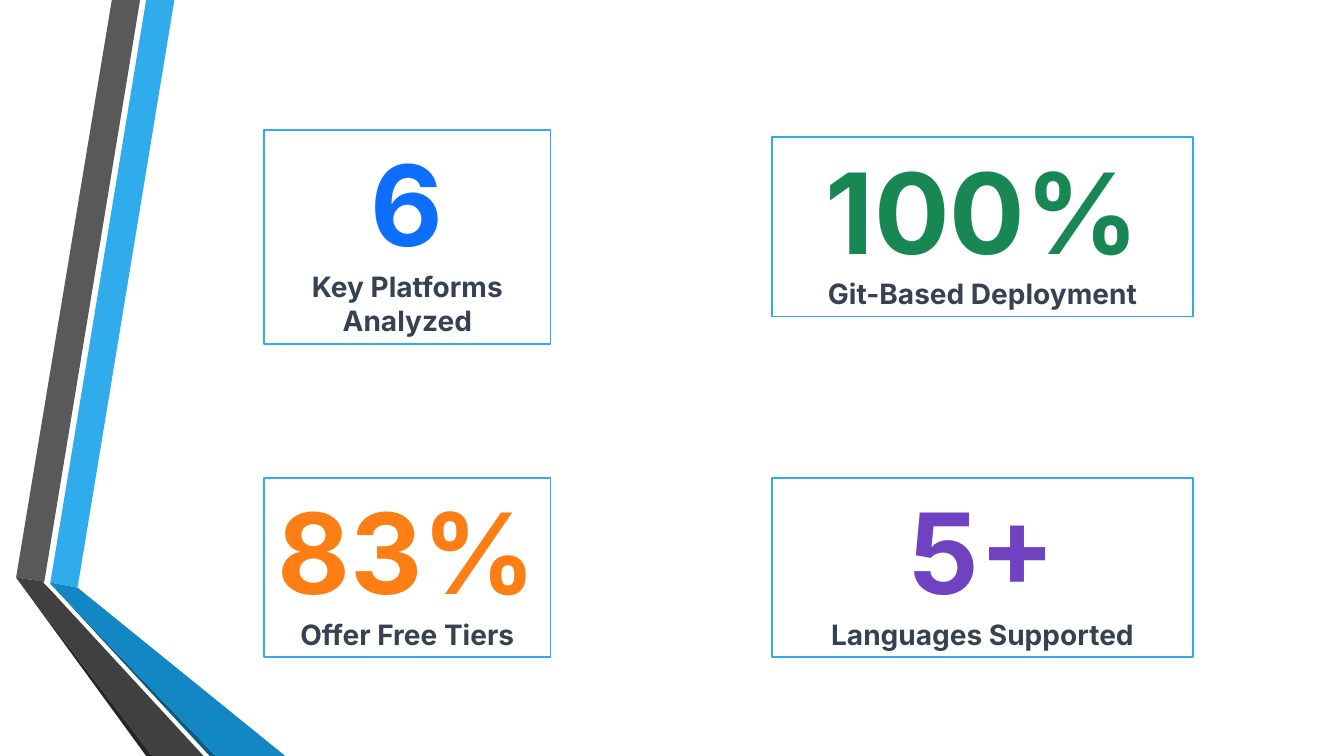
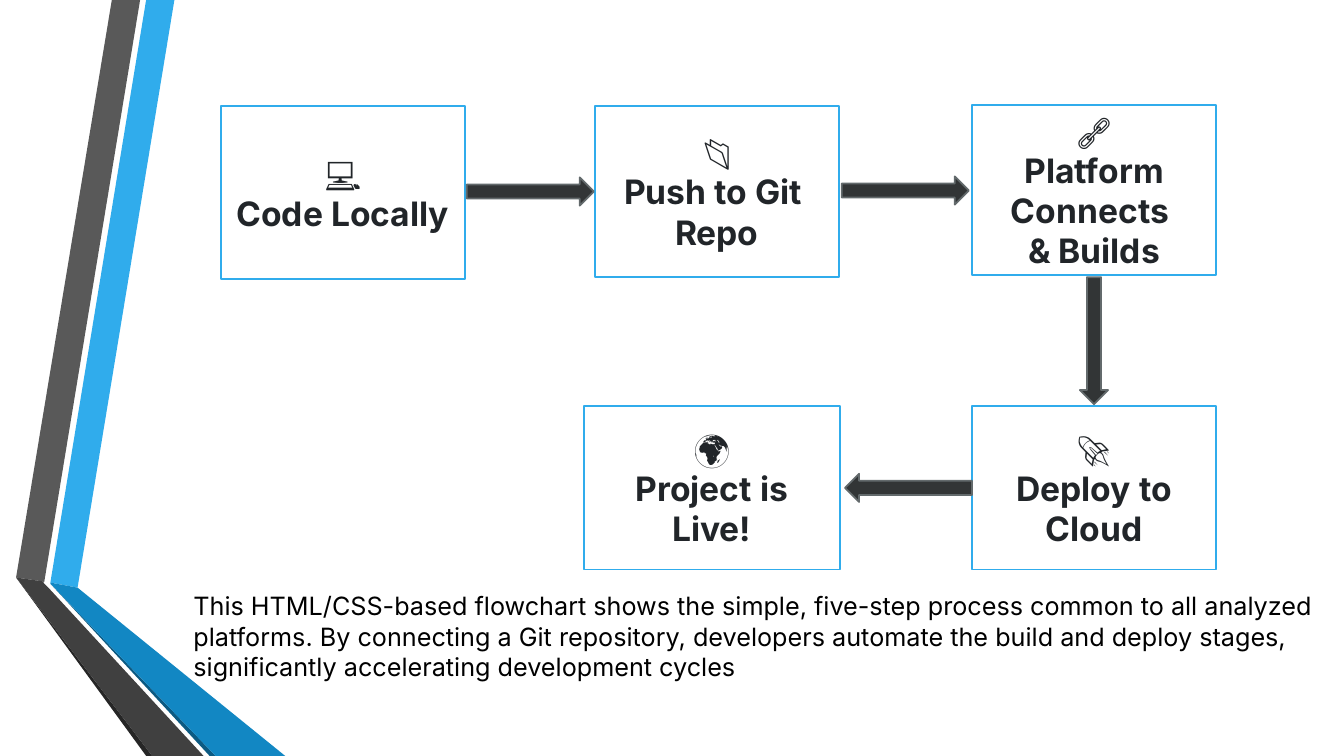
from dataclasses import dataclass

from pptx import Presentation
from pptx.dml.color import RGBColor
from pptx.enum.shapes import MSO_SHAPE
from pptx.enum.text import MSO_ANCHOR, MSO_AUTO_SIZE, PP_ALIGN
from pptx.shapes.autoshape import Shape
from pptx.slide import Slide
from pptx.text.text import _Paragraph
from pptx.util import Pt

RECT, RIGHT_ARROW = MSO_SHAPE.RECTANGLE, MSO_SHAPE.RIGHT_ARROW
TOP, MIDDLE = MSO_ANCHOR.TOP, MSO_ANCHOR.MIDDLE
GROW = MSO_AUTO_SIZE.SHAPE_TO_FIT_TEXT
CENTER = PP_ALIGN.CENTER

PX = 9144  # EMU per px, 100 px to the inch
SLIDE_W, SLIDE_H = 1333, 750
FONT = "Inter"
LINE_PT = 1.25
ARROW_W, ARROW_H = 126, 28

COLORS = {
    "white": "FFFFFF",
    "black": "000000",
    "sky": "30ACEC",
    "blue_fold": "1287C3",
    "blue_edge": "0C5A82",
    "gray": "595959",
    "gray_fold": "404040",
    "gray_edge": "262626",
    "label": "374151",
    "step": "212529",
    "arrow": "323536",
    "arrow_line": "636A6C",
    "blue": "0D6EFD",
    "green": "198754",
    "orange": "FD7E14",
    "purple": "6F42C1",
}


@dataclass(frozen=True)
class Ribbon:
    color: str
    points: tuple[tuple[int, int], ...]


@dataclass(frozen=True)
class Stat:
    x: int
    y: int
    w: int
    h: int
    value: str
    label: str
    color: str


@dataclass(frozen=True)
class Step:
    x: int
    y: int
    w: int
    h: int
    icon: str
    lines: tuple[str, ...]


@dataclass(frozen=True)
class Arrow:
    x: int
    y: int
    rotation: int = 0


RIBBONS = (
    Ribbon("sky", ((50, 578), (77, 583), (173, 0), (145, 0))),
    Ribbon("gray", ((139, 0), (111, 0), (16, 573), (44, 577))),
    Ribbon("gray_edge", ((16, 573), (145, 750), (151, 750))),
    Ribbon("blue_edge", ((50, 579), (208, 750), (214, 750))),
    Ribbon("blue_fold", ((50, 579), (214, 750), (283, 750), (77, 583), (50, 578))),
    Ribbon("gray_fold", ((202, 750), (48, 583), (43, 578), (44, 577), (16, 573), (151, 750))),
)

STATS = (
    Stat(262, 129, 284, 212, "6", "Key Platforms Analyzed", "blue"),
    Stat(766, 136, 417, 178, "100%", "Git-Based Deployment", "green"),
    Stat(262, 474, 284, 178, "83%", "Offer Free Tiers", "orange"),
    Stat(766, 474, 417, 178, "5+", "Languages Supported", "purple"),
)

STEPS = (
    Step(219, 105, 242, 172, "💻", ("Code Locally",)),
    Step(590, 105, 242, 170, "📂", ("Push to Git ", "Repo")),
    Step(964, 104, 242, 169, "🔗", ("Platform Connects ", "& Builds")),
    Step(964, 403, 242, 162, "🚀", ("Deploy to Cloud",)),
    Step(579, 403, 254, 162, "🌍", ("Project is Live!",)),
)

ARROWS = (
    Arrow(463, 176),
    Arrow(835, 175),
    Arrow(1022, 324, 90),
    Arrow(838, 470, 180),
)

CAPTION = (
    "This HTML/CSS-based flowchart shows the simple, five-step process common to all "
    "analyzed platforms. By connecting a Git repository, developers automate the build "
    "and deploy stages, significantly accelerating development cycles"
)


def rgb(name: str) -> RGBColor:
    return RGBColor.from_string(COLORS[name])


def format_runs(p: _Paragraph, size: int, color: str, bold: bool = False) -> None:
    for r in p.runs:
        r.font.name = FONT
        r.font.size = Pt(size)
        r.font.bold = bold
        r.font.color.rgb = rgb(color)


def add_outlined(slide: Slide, kind: MSO_SHAPE, x: int, y: int, w: int, h: int,
                 fill: str, line: str) -> Shape:
    sp = slide.shapes.add_shape(kind, x * PX, y * PX, w * PX, h * PX)
    sp.shadow.inherit = False
    sp.fill.solid()
    sp.fill.fore_color.rgb = rgb(fill)
    sp.line.color.rgb = rgb(line)
    sp.line.width = Pt(LINE_PT)
    return sp


def add_card(slide: Slide, card: Stat | Step, text: str, anchor: MSO_ANCHOR) -> Shape:
    """Add a white card whose paragraphs are centred."""
    sp = add_outlined(slide, RECT, card.x, card.y, card.w, card.h, "white", "sky")
    tf = sp.text_frame
    tf.word_wrap = True
    tf.vertical_anchor = anchor
    tf.text = text
    for p in tf.paragraphs:
        p.alignment = CENTER
    return sp


def add_stat(slide: Slide, stat: Stat) -> None:
    tf = add_card(slide, stat, f"{stat.value}\n{stat.label}", TOP).text_frame
    tf.auto_size = GROW
    value, label = tf.paragraphs
    format_runs(value, 80, stat.color, bold=True)
    format_runs(label, 20, "label", bold=True)


def add_step(slide: Slide, step: Step) -> None:
    text = f"{step.icon}\v" + "\n".join(step.lines)
    for p in add_card(slide, step, text, MIDDLE).text_frame.paragraphs:
        format_runs(p, 24, "step", bold=True)


def add_arrow(slide: Slide, arrow: Arrow) -> None:
    sp = add_outlined(slide, RIGHT_ARROW, arrow.x, arrow.y, ARROW_W, ARROW_H,
                      "arrow", "arrow_line")
    sp.rotation = arrow.rotation


def add_caption(slide: Slide) -> None:
    sp = slide.shapes.add_textbox(182 * PX, 581 * PX, 1150 * PX, 101 * PX)
    tf = sp.text_frame
    tf.word_wrap = True
    tf.auto_size = GROW
    tf.text = CAPTION
    format_runs(tf.paragraphs[0], 18, "black")


def add_ribbons(slide: Slide) -> None:
    group = slide.shapes.add_group_shape()
    for ribbon in RIBBONS:
        start, *rest = ribbon.points
        builder = group.shapes.build_freeform(*start, scale=PX)
        builder.add_line_segments(rest, close=True)
        sp = builder.convert_to_shape()
        sp.shadow.inherit = False
        sp.fill.solid()
        sp.fill.fore_color.rgb = rgb(ribbon.color)
        sp.line.fill.background()


def new_slide(prs: Presentation) -> Slide:
    """Add a blank slide with the folded ribbons at the left."""
    slide = prs.slides.add_slide(prs.slide_layouts[6])
    add_ribbons(slide)
    return slide


def build_stats(prs: Presentation) -> None:
    slide = new_slide(prs)
    for stat in STATS:
        add_stat(slide, stat)


def build_flowchart(prs: Presentation) -> None:
    slide = new_slide(prs)
    add_caption(slide)
    for step in STEPS:
        add_step(slide, step)
    for arrow in ARROWS:
        add_arrow(slide, arrow)


def main() -> None:
    prs = Presentation()
    prs.slide_width = SLIDE_W * PX
    prs.slide_height = SLIDE_H * PX
    build_stats(prs)
    build_flowchart(prs)
    prs.save("out.pptx")


if __name__ == "__main__":
    main()
